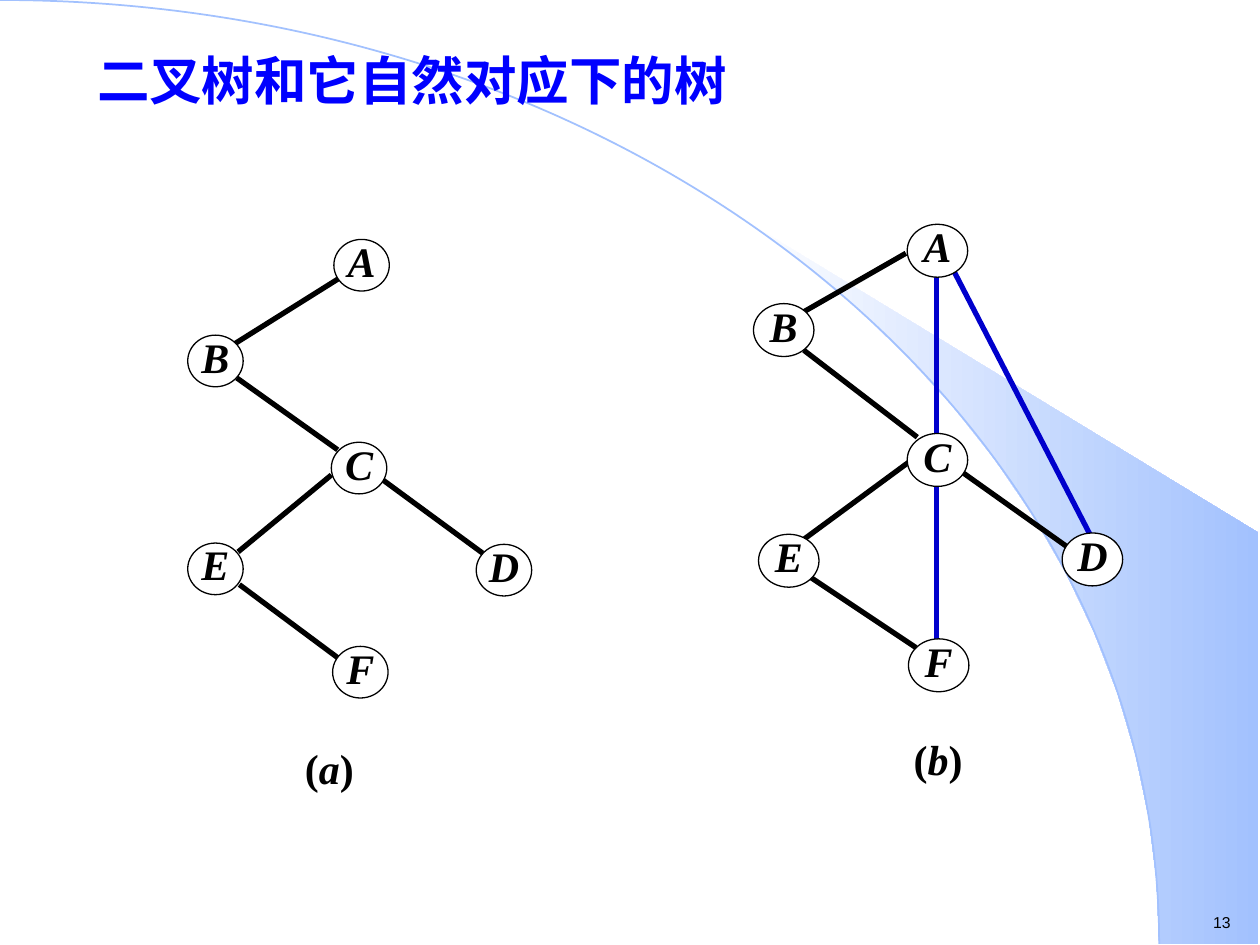
from math import asin, cos, pi, sin

from lxml.etree import SubElement
from pptx import Presentation
from pptx.dml.color import RGBColor
from pptx.enum.shapes import MSO_CONNECTOR as LINE, MSO_SHAPE as SHAPE
from pptx.enum.text import MSO_ANCHOR as ANCHOR, PP_ALIGN as ALIGN
from pptx.oxml.ns import qn
from pptx.util import Inches, Pt

BLACK = RGBColor(0x00, 0x00, 0x00)
WHITE = RGBColor(0xFF, 0xFF, 0xFF)
TITLE_BLUE = RGBColor(0x00, 0x00, 0xFF)
LINK_BLUE = RGBColor(0x00, 0x00, 0xCC)
SKY = RGBColor(0xA2, 0xC1, 0xFE)
SERIF = "Times New Roman"

deck = Presentation()
deck.slide_width, deck.slide_height = Inches(10), Inches(7.5)
COL, ROW = deck.slide_width / 100, deck.slide_height / 75
slide = deck.slides.add_slide(deck.slide_layouts[5])
shapes = slide.shapes


def grid(x, y, *size):
    spots = zip((x, y, *size), (COL, ROW, COL, ROW))
    return [round(count * step) for count, step in spots]


def write(frame, runs, size, color=BLACK, font=SERIF, bold=True, margin=0):
    frame.margin_left = frame.margin_right = Inches(margin)
    frame.margin_top = frame.margin_bottom = Inches(margin / 2)
    frame.vertical_anchor = ANCHOR.MIDDLE
    frame.word_wrap = True
    paragraph = frame.paragraphs[0]
    for text, italic in runs:
        run = paragraph.add_run()
        run.text = text
        run.font.name, run.font.size = font, Pt(size)
        run.font.bold, run.font.italic = bold, italic
        run.font.color.rgb = color
    return paragraph


CURVE_W, CURVE_H, STEPS = 92, 74.9, 13
start = asin(58.9 / CURVE_W)
beam_edge = []
for step in range(STEPS + 1):
    angle = start + (pi / 2 - start) * step / STEPS
    beam_edge.append(grid(CURVE_W * sin(angle), CURVE_H * (1 - cos(angle))))

beam_path = shapes.build_freeform(*beam_edge[0], scale=1.0)
beam_path.add_line_segments(
    beam_edge[1:] + [grid(99.9, 74.9), grid(99.9, 42.3)], close=True)
beam = beam_path.convert_to_shape()
beam.shadow.inherit = False
beam.line.fill.background()
beam.fill.gradient()
beam.fill.gradient_angle = 0
for stop, color in zip(beam.fill.gradient_stops, (WHITE, SKY)):
    stop.color.rgb = color

arc_end = grid(CURVE_W, CURVE_H)
arc_path = shapes.build_freeform(0, 0, scale=1.0)
arc_path.add_line_segments([arc_end], close=False)
arc = arc_path.convert_to_shape()
arc.shadow.inherit = False
arc.fill.background()
arc.line.color.rgb, arc.line.width = SKY, Pt(1)
outline_path = next(arc._element.iter(qn("a:path")))
outline_path.remove(outline_path.find(qn("a:lnTo")))
bend = SubElement(outline_path, qn("a:cubicBezTo"))
for x, y in (grid(50.8, 0), grid(CURVE_W, 33.5), arc_end):
    SubElement(bend, qn("a:pt"), x=str(x), y=str(y))

page = shapes.add_textbox(*grid(95.3, 71.9, 3.5, 2.5))
write(page.text_frame, [("13", False)], 9, font="Arial", bold=False, margin=0.1)
page.text_frame.word_wrap = False

trees = [
    {
        "caption": ("a", 22.6, 59.5),
        "node_size": (4.4, 4.1),
        "nodes": {"A": (26.5, 19), "B": (14.9, 26.6), "C": (26.3, 35.1),
                  "D": (37.8, 43.2), "E": (14.9, 43.1), "F": (26.4, 51.3)},
        "branches": [(26.9, 22.1, 18.6, 27.3), (18.8, 30, 26.8, 35.7),
                     (26.3, 37.7, 18.9, 43.8), (30.4, 38.1, 38.3, 43.9),
                     (19, 46.4, 26.8, 52.2)],
        "links": [],
    },
    {
        "caption": ("b", 70.9, 58.8),
        "node_size": (4.8, 4.2),
        "nodes": {"A": (72, 17.8), "B": (59.8, 24.1), "C": (72, 34.4),
                  "D": (84.3, 42.3), "E": (60.2, 42.4), "F": (72.1, 50.7)},
        "branches": [(71.9, 20.1, 63.7, 24.8), (63.8, 27.8, 72.8, 34.7),
                     (72.1, 36.7, 63.8, 42.8), (76.4, 37.5, 84.7, 43.4),
                     (64.3, 45.8, 72.7, 51.4)],
        "links": [(75.7, 21.5, 86.6, 42.6), (74.3, 38.3, 74.3, 50.8),
                  (74.3, 21.6, 74.3, 34.6)],
    },
]

for tree in trees:
    for color, edges in ((LINK_BLUE, tree["links"]), (BLACK, tree["branches"])):
        for ends in edges:
            edge = shapes.add_connector(LINE.STRAIGHT, *grid(*ends))
            edge.line.color.rgb, edge.line.width = color, Pt(3)
            SubElement(edge._element.spPr, qn("a:effectLst"))

    letter, x, y = tree["caption"]
    labels = [(SHAPE.RECTANGLE, (x, y, 7.1, 3.6),
               [("(", False), (letter, True), (")", False)])]
    for name, corner in tree["nodes"].items():
        labels.append((SHAPE.OVAL, corner + tree["node_size"], [(name, True)]))

    for outline, box, runs in labels:
        label = shapes.add_shape(outline, *grid(*box))
        label.shadow.inherit = False
        label.fill.solid()
        label.fill.fore_color.rgb = WHITE
        if outline == SHAPE.OVAL:
            label.line.color.rgb, label.line.width = BLACK, Pt(0.75)
        else:
            label.line.fill.background()
        paragraph = write(label.text_frame, runs, 24)
        paragraph.alignment = ALIGN.CENTER
        paragraph.line_spacing = 0.8

title = shapes.title
title.left, title.top, title.width, title.height = grid(6.7, 3.3, 71.7, 6)
heading = write(title.text_frame, [("二叉树和它自然对应下的树", False)],
                30, TITLE_BLUE, margin=0.1)
heading.alignment = ALIGN.LEFT
shapes._spTree.append(title._element)

deck.save("out.pptx")
